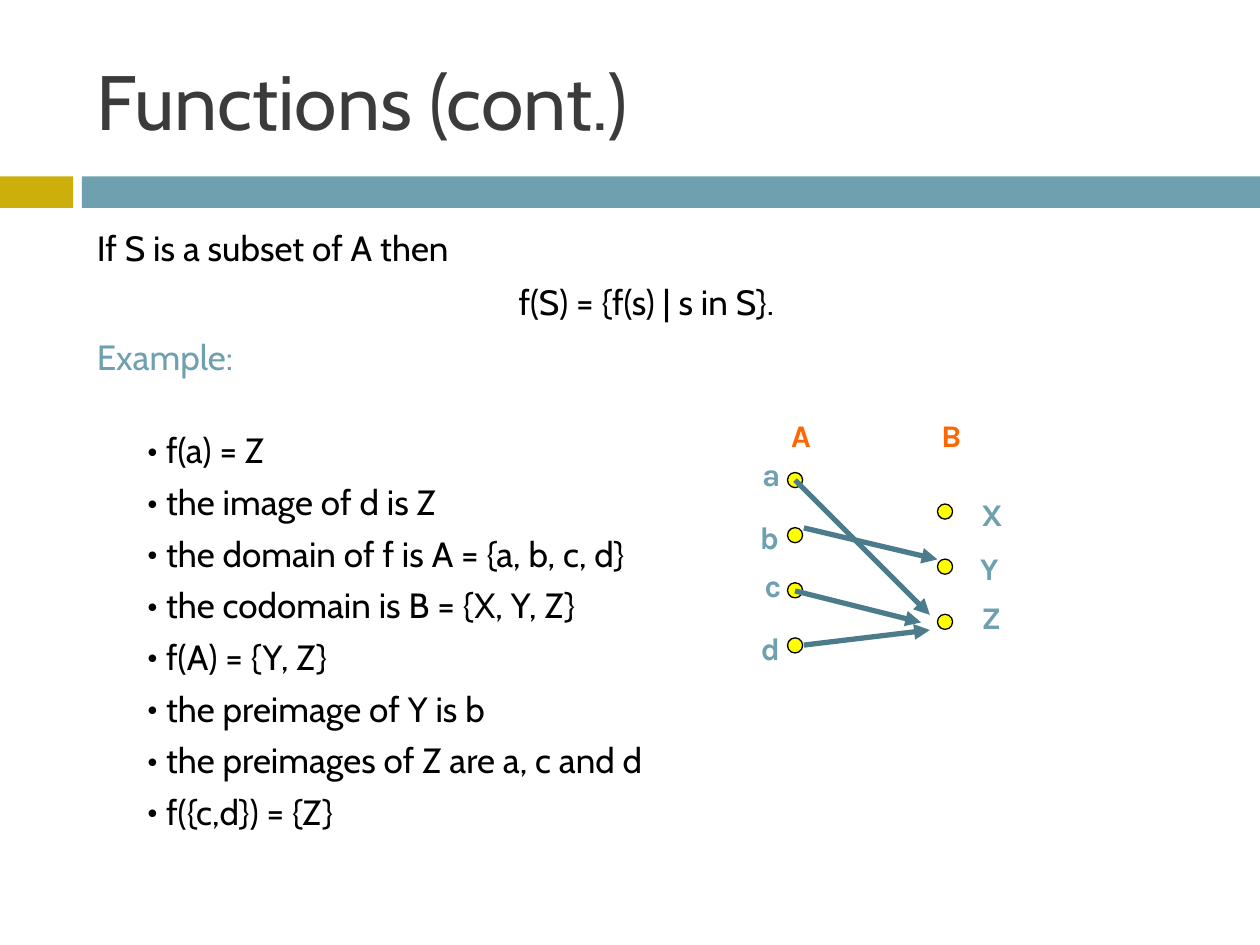
from lxml.etree import SubElement
from pptx import Presentation
from pptx.dml.color import RGBColor
from pptx.enum.shapes import MSO_CONNECTOR, MSO_SHAPE
from pptx.enum.text import MSO_ANCHOR, MSO_AUTO_SIZE, PP_ALIGN
from pptx.oxml.ns import qn
from pptx.util import Inches, Pt

GOLD = RGBColor(0xCC, 0xAF, 0x0A)
BLUE = RGBColor(0x6E, 0xA0, 0xB0)
DARK_BLUE = RGBColor(0x4C, 0x7C, 0x8B)
GREY = RGBColor(0x3B, 0x3B, 0x3B)
BLACK = RGBColor(0, 0, 0)
YELLOW = RGBColor(0xFF, 0xFF, 0)
ORANGE = RGBColor(0xFF, 0x66, 0)

TITLE = "Functions (cont.)"
INTRODUCTION = [
    ("If S is a subset of A then", PP_ALIGN.LEFT, BLACK),
    ("f(S) = {f(s) | s in S}.", PP_ALIGN.CENTER, BLACK),
    ("Example:", PP_ALIGN.LEFT, BLUE),
]
FACTS = [
    "f(a) = Z",
    "the image of d is Z",
    "the domain of f is A = {a, b, c, d}",
    "the codomain is B = {X, Y, Z}",
    "f(A) = {Y, Z}",
    "the preimage of Y is b",
    "the preimages of Z are a, c and d",
    "f({c,d}) = {Z}",
]
BARS = [(0, 0.58, GOLD), (0.65, 9.35, BLUE)]
DOT_COLUMNS = [(6.25, 3.75, 4), (7.44, 4, 3)]
DOT_SIZE, DOT_STEP = 0.12, 0.4375
LABELS = [
    ("A", 6.18, 3.25, 0.38, ORANGE),
    ("B", 7.37, 3.25, 0.38, ORANGE),
    ("a", 5.95, 3.56, 0.35, BLUE),
    ("b", 5.93, 4.06, 0.44, BLUE),
    ("c", 5.97, 4.44, 0.34, BLUE),
    ("d", 5.94, 4.94, 0.36, BLUE),
    ("X", 7.69, 3.88, 0.38, BLUE),
    ("Y", 7.68, 4.31, 0.37, BLUE),
    ("Z", 7.69, 4.7, 0.36, BLUE),
]
ARROWS = [
    (6.31, 3.81, 7.38, 4.88),
    (6.38, 4.19, 7.44, 4.44),
    (6.31, 4.69, 7.31, 4.94),
    (6.38, 5.12, 7.38, 5),
]

TITLE_FONT = {"name": "Cabin", "size": Pt(44)}
BODY_FONT = {"name": "Cabin", "size": Pt(20)}
LABEL_FONT = {"name": "Karla", "size": Pt(18), "bold": True}
FACT_GAP, FIRST_FACT_GAP = 5.5, 29.5


def add_shape(slide, kind, left, top, width, height, fill, line=None):
    shape = slide.shapes.add_shape(kind, *map(Inches, (left, top, width, height)))
    shape.shadow.inherit = False
    shape.fill.solid()
    shape.fill.fore_color.rgb = fill
    if line is None:
        shape.line.fill.background()
    else:
        shape.line.color.rgb = line
        shape.line.width = Pt(0.75)


def add_frame(slide, left, top, width, height, **settings):
    box = slide.shapes.add_textbox(*map(Inches, (left, top, width, height)))
    for name, value in settings.items():
        setattr(box.text_frame, name, value)
    return box.text_frame


def write(paragraph, text, font, color):
    run = paragraph.add_run()
    run.text = text
    for name, value in font.items():
        setattr(run.font, name, value)
    run.font.color.rgb = color


def add_bullet(paragraph):
    properties = paragraph._p.get_or_add_pPr()
    properties.set("marL", str(Inches(0.55)))
    properties.set("indent", str(Inches(-0.15)))
    SubElement(properties, qn("a:buFont"), typeface="Cabin")
    SubElement(properties, qn("a:buChar"), char="•")


def add_body(slide):
    frame = add_frame(slide, 0.67, 1.75, 8.92, 4.92, word_wrap=True)
    paragraph = frame.paragraphs[0]
    for text, alignment, color in INTRODUCTION:
        paragraph.alignment = alignment
        paragraph.space_before = Pt(7)
        write(paragraph, text, BODY_FONT, color)
        if alignment == PP_ALIGN.CENTER:
            properties = paragraph._p.get_or_add_pPr()
            properties.set("marL", str(Inches(0.35)))
            properties.set("indent", str(Inches(-0.35)))
        paragraph = frame.add_paragraph()
    for index, text in enumerate(FACTS):
        if index:
            paragraph = frame.add_paragraph()
        paragraph.space_before = Pt(FACT_GAP if index else FIRST_FACT_GAP)
        add_bullet(paragraph)
        write(paragraph, text, BODY_FONT, BLACK)


def add_arrow(slide, *ends):
    connector = slide.shapes.add_connector(MSO_CONNECTOR.STRAIGHT, *map(Inches, ends))
    connector.line.color.rgb = DARK_BLUE
    connector.line.width = Pt(3)
    SubElement(connector.line._get_or_add_ln(), qn("a:tailEnd"), type="triangle")
    SubElement(connector._element.spPr, qn("a:effectLst"))


def main():
    presentation = Presentation()
    presentation.slide_width = Inches(10)
    presentation.slide_height = Inches(7.5)
    slide = presentation.slides.add_slide(presentation.slide_layouts[6])

    for left, width, color in BARS:
        add_shape(slide, MSO_SHAPE.RECTANGLE, left, 1.4, width, 0.25, color)
    title = add_frame(slide, 0.67, 0.25, 8.92, 1.08, word_wrap=True,
                      vertical_anchor=MSO_ANCHOR.MIDDLE)
    write(title.paragraphs[0], TITLE, TITLE_FONT, GREY)
    add_body(slide)

    for left, top, count in DOT_COLUMNS:
        for row in range(count):
            add_shape(slide, MSO_SHAPE.OVAL, left, top + row * DOT_STEP,
                      DOT_SIZE, DOT_SIZE, YELLOW, BLACK)
    for text, left, top, width, color in LABELS:
        label = add_frame(slide, left, top, width, 0.4, word_wrap=False,
                          auto_size=MSO_AUTO_SIZE.SHAPE_TO_FIT_TEXT)
        write(label.paragraphs[0], text, LABEL_FONT, color)
    for ends in ARROWS:
        add_arrow(slide, *ends)

    presentation.save("out.pptx")


if __name__ == "__main__":
    main()
